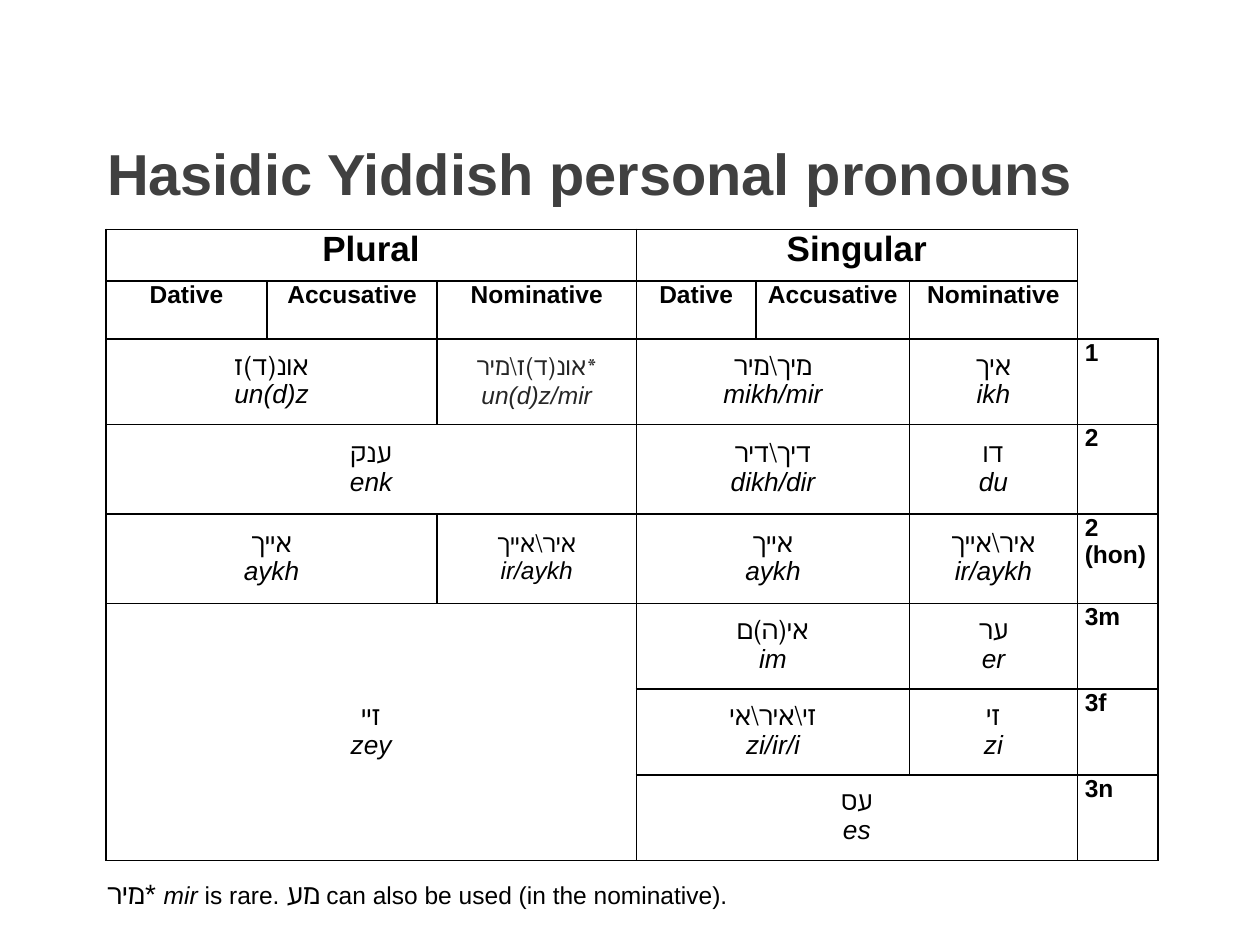
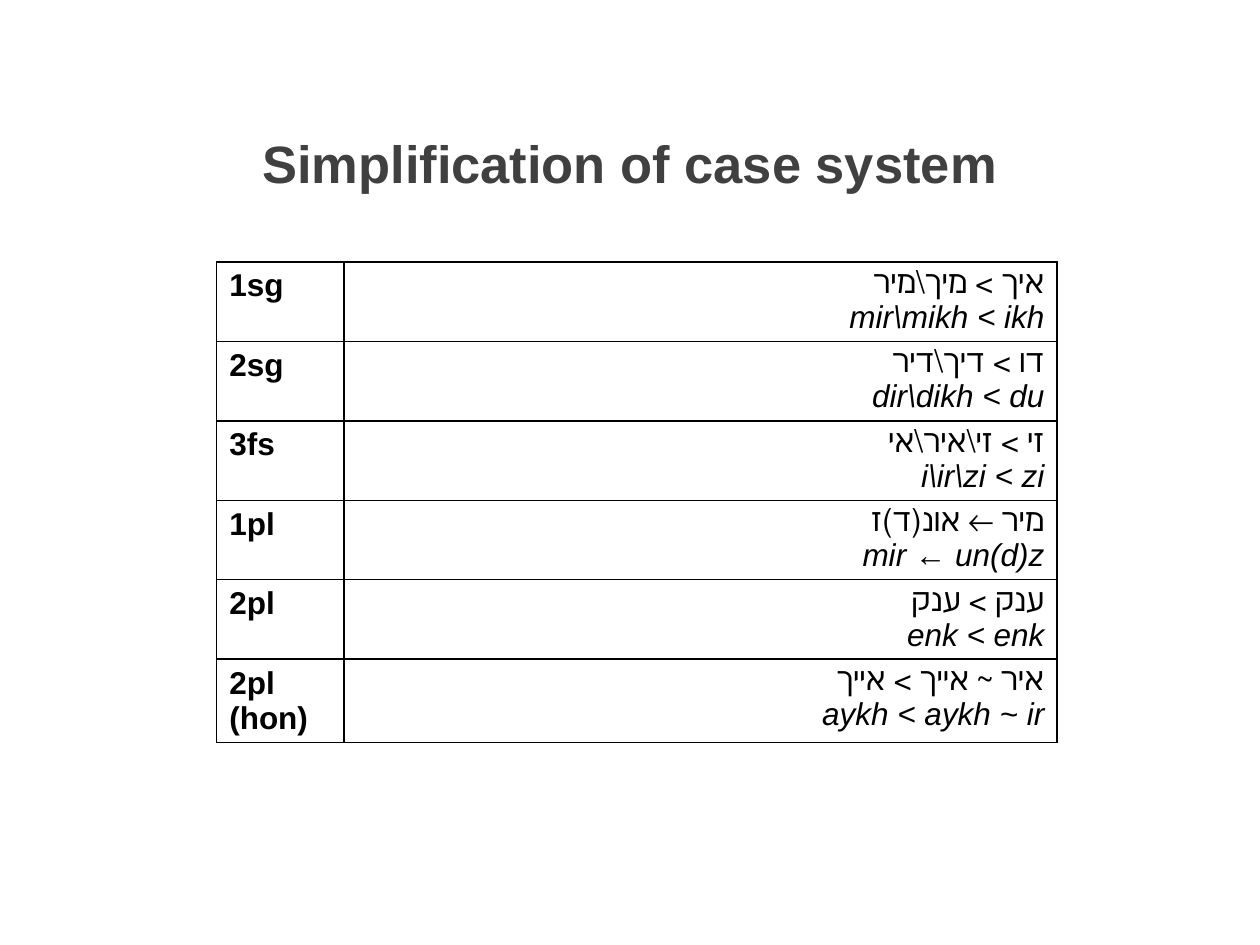
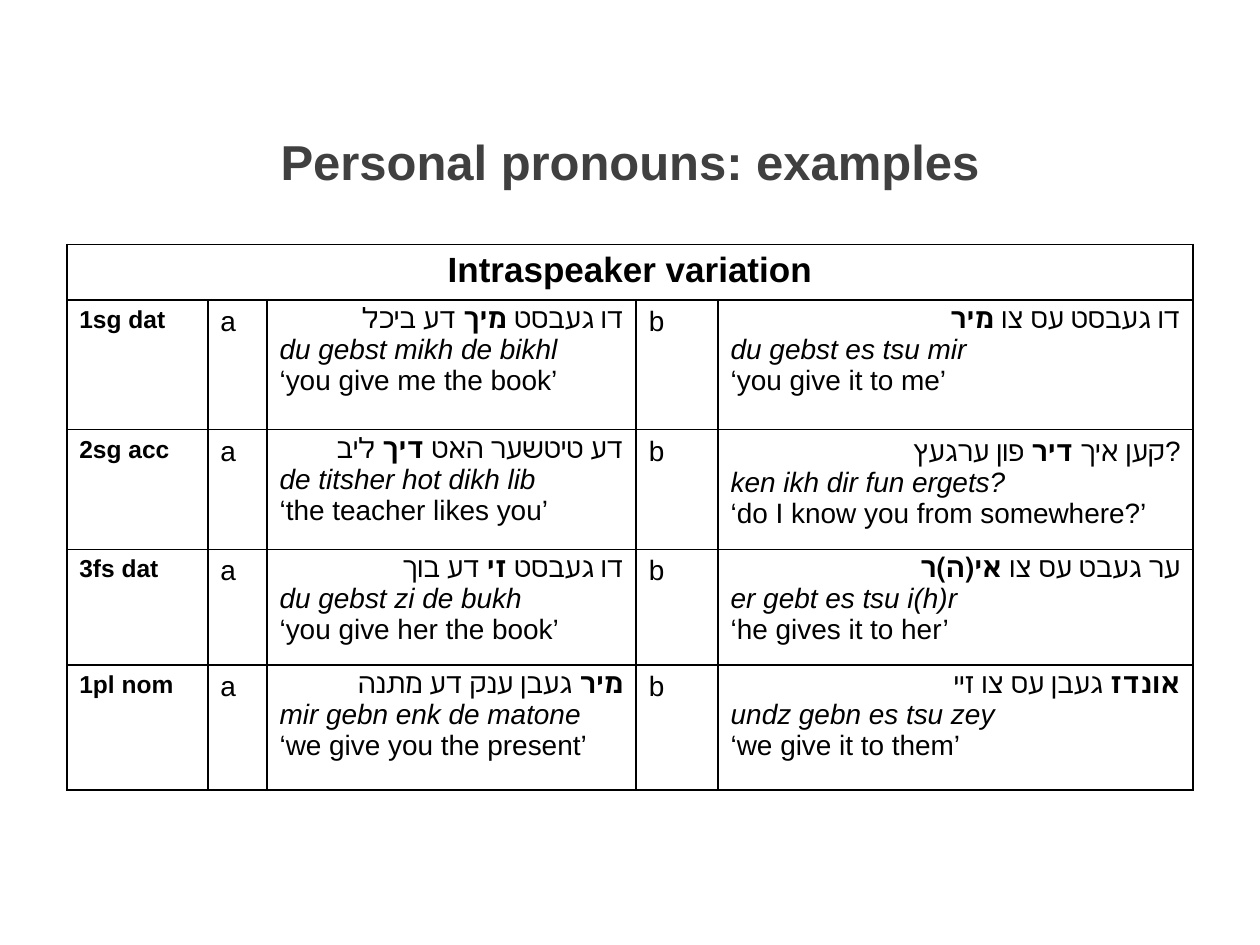
from lxml import etree
from pptx import Presentation
from pptx.dml.color import RGBColor
from pptx.enum.text import MSO_ANCHOR as Anchor, MSO_AUTO_SIZE as AutoSize, PP_ALIGN as Align
from pptx.oxml.ns import qn
from pptx.util import Inches, Pt

FONT = "Arial"
BLACK = "000000"
GREY = "262626"
TITLE_COLOR = "404040"
EDGES = ("L", "R", "T", "B")
HEADER_INSETS = (0.06, 0)
PRONOUN_INSETS = (0.07, 0.04)
DEFAULT_INSETS = (0.1, 0.05)

NUMBERS = [("Plural", 0), ("Singular", 3)]
CASES = ["Dative", "Accusative", "Nominative"]
PERSONS = ["1", "2", "2 (hon)", "3m", "3f", "3n"]
PRONOUNS = [
    (2, 0, 1, 2, "אונ(ד)ז", "un(d)z"),
    (2, 3, 1, 2, "מיך\\מיר", "mikh/mir"),
    (2, 5, 1, 1, "איך", "ikh"),
    (3, 0, 1, 3, "ענק", "enk"),
    (3, 3, 1, 2, "דיך\\דיר", "dikh/dir"),
    (3, 5, 1, 1, "דו", "du"),
    (4, 0, 1, 2, "אייך", "aykh"),
    (4, 3, 1, 2, "אייך", "aykh"),
    (4, 5, 1, 1, "איר\\אייך", "ir/aykh"),
    (5, 0, 3, 3, "זיי", "zey"),
    (5, 3, 1, 2, "אי(ה)ם", "im"),
    (5, 5, 1, 1, "ער", "er"),
    (6, 3, 1, 2, "זי\\איר\\אי", "zi/ir/i"),
    (6, 5, 1, 1, "זי", "zi"),
    (7, 3, 1, 3, "עס", "es"),
]
SIMPLIFICATIONS = [
    (["1sg"], "איך > מיך\\מיר", "mir\\mikh < ikh"),
    (["2sg"], "דו > דיך\\דיר", "dir\\dikh < du"),
    (["3fs"], "זי > זי\\איר\\אי", "i\\ir\\zi < zi"),
    (["1pl"], "מיר ← אונ(ד)ז", "mir ← un(d)z"),
    (["2pl"], "ענק > ענק", "enk < enk"),
    (["2pl", "(hon)"], "איר ~ אייך > אייך", "aykh < aykh ~ ir"),
]
EXAMPLES = [
    ("1sg dat",
     ("דו געבסט *מיך* דע ביכל", "du gebst mikh de bikhl", "‘you give me the book’"),
     ("דו געבסט עס צו *מיר*", "du gebst es tsu mir", "‘you give it to me’")),
    ("2sg acc",
     ("דע טיטשער האט *דיך* ליב", "de titsher hot dikh lib", "‘the teacher likes you’"),
     ("קען איך *דיר* פון ערגעץ?", "ken ikh dir fun ergets?", "‘do I know you from somewhere?’")),
    ("3fs dat",
     ("דו געבסט *זי* דע בוך", "du gebst zi de bukh", "‘you give her the book’"),
     ("ער געבט עס צו *אי(ה)ר*", "er gebt es tsu i(h)r", "‘he gives it to her’")),
    ("1pl nom",
     ("*מיר* געבן ענק דע מתנה", "mir gebn enk de matone", "‘we give you the present’"),
     ("*אונדז* געבן עס צו זיי", "undz gebn es tsu zey", "‘we give it to them’")),
]


def rgb(color):
    return RGBColor.from_string(color)


def apply(target, values):
    for name, value in values.items():
        setattr(target, name, value)


def span(text, size, color=BLACK, **font):
    return text, color, {"name": FONT, "size": Pt(size), "bold": False, "italic": False, **font}


def line(*spans, align=Align.LEFT, rtl=False):
    return spans, align, rtl


def write(frame, lines):
    for index, (spans, align, rtl) in enumerate(lines):
        para = frame.add_paragraph() if index else frame.paragraphs[0]
        para.alignment = align
        if rtl:
            para._p.get_or_add_pPr().set("rtl", "1")
        for text, color, font in spans:
            run = para.add_run()
            run.text = text
            apply(run.font, font)
            run.font.color.rgb = rgb(color)


def add_titled_page(deck, text, size, place, align=Align.CENTER):
    page = deck.slides.add_slide(deck.slide_layouts[5])
    title = page.shapes.title
    apply(title, dict(zip(("left", "top", "width", "height"), map(Inches, place))))
    apply(title.text_frame, {"word_wrap": True, "auto_size": AutoSize.NONE,
                             "vertical_anchor": Anchor.TOP})
    write(title.text_frame, [line(span(text, size, TITLE_COLOR, bold=True), align=align)])
    return page


def set_borders(cell, shown=EDGES):
    properties = cell._tc.get_or_add_tcPr()
    for old in [child for child in properties if child.tag in [qn(f"a:ln{edge}") for edge in EDGES]]:
        properties.remove(old)
    for index, edge in enumerate(EDGES):
        border = etree.Element(qn(f"a:ln{edge}"), w=str(Pt(1)))
        if edge in shown:
            fill = etree.SubElement(border, qn("a:solidFill"))
            etree.SubElement(fill, qn("a:srgbClr"), val=BLACK)
        else:
            etree.SubElement(border, qn("a:noFill"))
        properties.insert(index, border)


def add_grid(page, left, top, widths, heights):
    frame = page.shapes.add_table(len(heights), len(widths), Inches(left), Inches(top),
                                  Inches(sum(widths)), Inches(sum(heights)))
    table = frame.table
    apply(table, {"first_row": False, "horz_banding": False})
    for column, width in zip(table.columns, widths):
        column.width = Inches(width)
    for row, height in zip(table.rows, heights):
        row.height = Inches(height)
    for cell in table.iter_cells():
        cell.fill.background()
        set_borders(cell)
    return table


def fill_cell(table, row, column, lines, insets=DEFAULT_INSETS, anchor=Anchor.TOP, rows=1, columns=1):
    cell = table.cell(row, column)
    if rows * columns > 1:
        cell.merge(table.cell(row + rows - 1, column + columns - 1))
    side, end = map(Inches, insets)
    apply(cell, {"margin_left": side, "margin_right": side, "margin_top": end,
                 "margin_bottom": end, "vertical_anchor": anchor})
    write(cell.text_frame, lines)


def fill_heading(table, row, column, text, size=14, align=Align.CENTER, columns=1):
    fill_cell(table, row, column, [line(span(text, size, bold=True), align=align)],
              HEADER_INSETS, columns=columns)


def fill_pronoun(table, row, column, rows, columns, yiddish, latin):
    lines = [line(yiddish, align=Align.CENTER), line(latin, align=Align.CENTER)]
    fill_cell(table, row, column, lines, PRONOUN_INSETS, Anchor.MIDDLE, rows, columns)


def add_note(page):
    box = page.shapes.add_textbox(Inches(0.75), Inches(6.91), Inches(7.94), Inches(0.37))
    box.text_frame.word_wrap = True
    write(box.text_frame, [line(span("מיר* ", 16), span("mir", 14, italic=True), span(" is rare. ", 14),
                                span("מע", 16), span(" can also be used (in the nominative).", 14))])


def add_pronoun_page(deck):
    page = add_titled_page(deck, "Hasidic Yiddish personal pronouns", 33,
                           (0.75, 1.04, 8.17, 0.95), Align.LEFT)
    table = add_grid(page, 0.84, 1.82, [1.28, 1.35, 1.58, 0.95, 1.22, 1.33, 0.64],
                     [0.41, 0.46, 0.68, 0.71, 0.71, 0.68, 0.68, 0.68])
    for number, start in NUMBERS:
        fill_heading(table, 0, start, number, 20, columns=3)
        for offset, case in enumerate(CASES):
            fill_heading(table, 1, start + offset, case)
    for row, person in enumerate(PERSONS, 2):
        fill_heading(table, row, 6, person, align=Align.JUSTIFY)
    for row, column, rows, columns, yiddish, latin in PRONOUNS:
        fill_pronoun(table, row, column, rows, columns, span(yiddish, 15), span(latin, 15, italic=True))
    fill_pronoun(table, 2, 2, 1, 1, span("אונ(ד)ז\\מיר*", 14, GREY, name="Cambria"),
                 span("un(d)z/mir", 14, GREY, italic=True))
    fill_pronoun(table, 4, 2, 1, 1, span("איר\\אייך", 14), span("ir/aykh", 14, italic=True))
    table.cell(0, 6).merge(table.cell(1, 6))
    for row in (0, 1):
        set_borders(table.cell(row, 6), ("L", "B") if row == 0 else ("L", "B"))
    add_note(page)


def add_simplification_page(deck):
    page = add_titled_page(deck, "Simplification of case system", 30, (0.36, 0.99, 9.28, 0.8))
    table = add_grid(page, 1.72, 2.08, [1.01, 5.66], [0.63] * len(SIMPLIFICATIONS))
    for row, (labels, yiddish, latin) in enumerate(SIMPLIFICATIONS):
        fill_cell(table, row, 0, [line(span(label, 18, bold=True)) for label in labels])
        fill_cell(table, row, 1, [line(span(yiddish, 18), align=Align.RIGHT, rtl=True),
                                  line(span(latin, 18, italic=True), align=Align.RIGHT, rtl=True)])


def example_lines(yiddish, latin, meaning):
    spans = [span(part, 16, bold=index % 2 == 1)
             for index, part in enumerate(yiddish.split("*")) if part]
    return [line(*spans, align=Align.RIGHT), line(span(latin, 16, italic=True)), line(span(meaning, 16))]


def add_example_page(deck):
    page = add_titled_page(deck, "Personal pronouns: examples", 28, (0.36, 0.99, 9.28, 0.8))
    table = add_grid(page, 0.53, 1.94, [1.12, 0.47, 2.93, 0.65, 3.77], [0.44, 1.03, 0.95, 0.92, 0.99])
    fill_cell(table, 0, 0, [line(span("Intraspeaker variation", 20, bold=True), align=Align.CENTER)],
              columns=5)
    for row, (label, *examples) in enumerate(EXAMPLES, 1):
        fill_cell(table, row, 0, [line(span(label, 14, bold=True))])
        for column, letter, example in zip((1, 3), "ab", examples):
            fill_cell(table, row, column, [line(span(letter, 16))])
            fill_cell(table, row, column + 1, example_lines(*example))


def main():
    deck = Presentation()
    apply(deck, {"slide_width": Inches(10), "slide_height": Inches(7.5)})
    add_pronoun_page(deck)
    add_simplification_page(deck)
    add_example_page(deck)
    deck.save("out.pptx")


if __name__ == "__main__":
    main()
